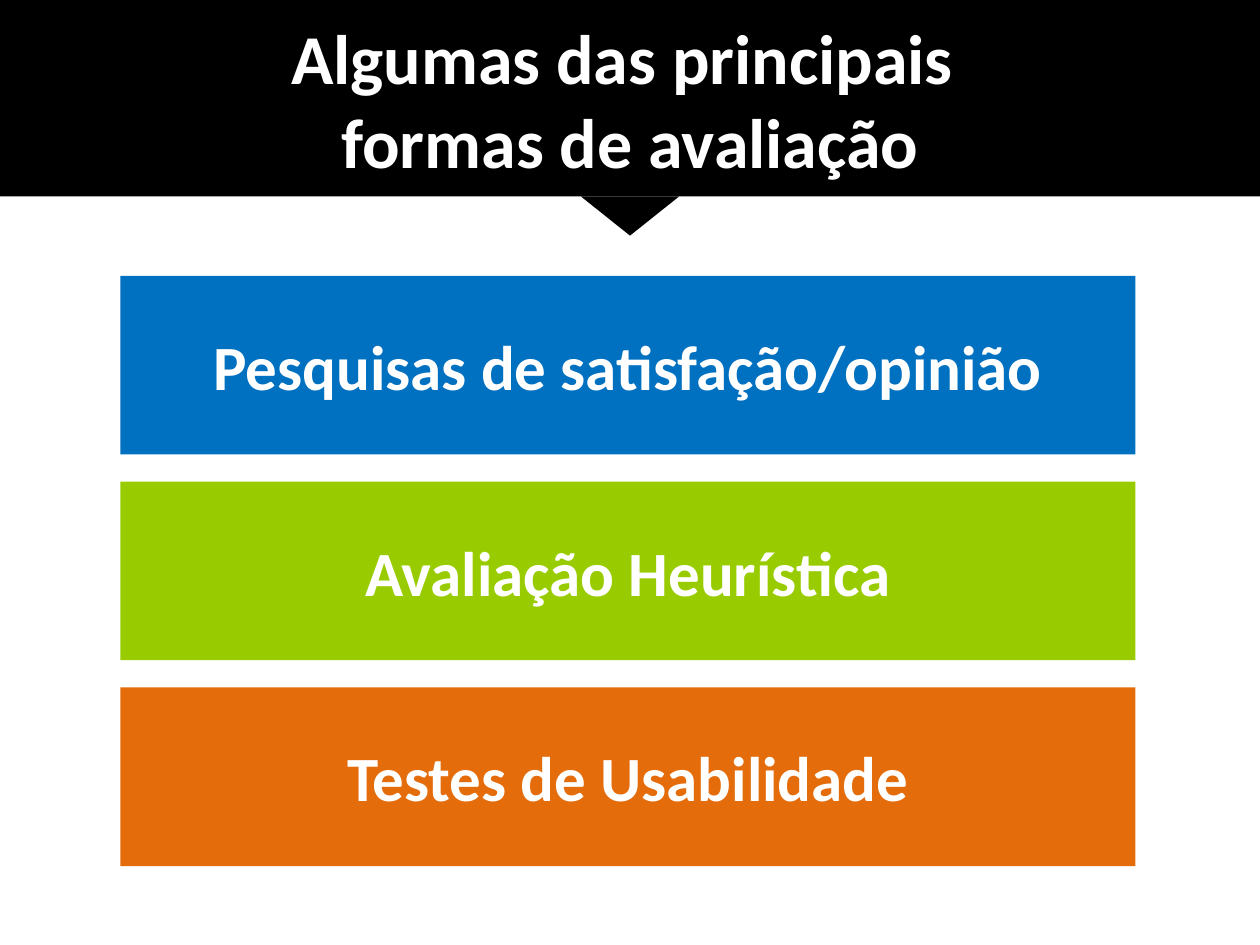
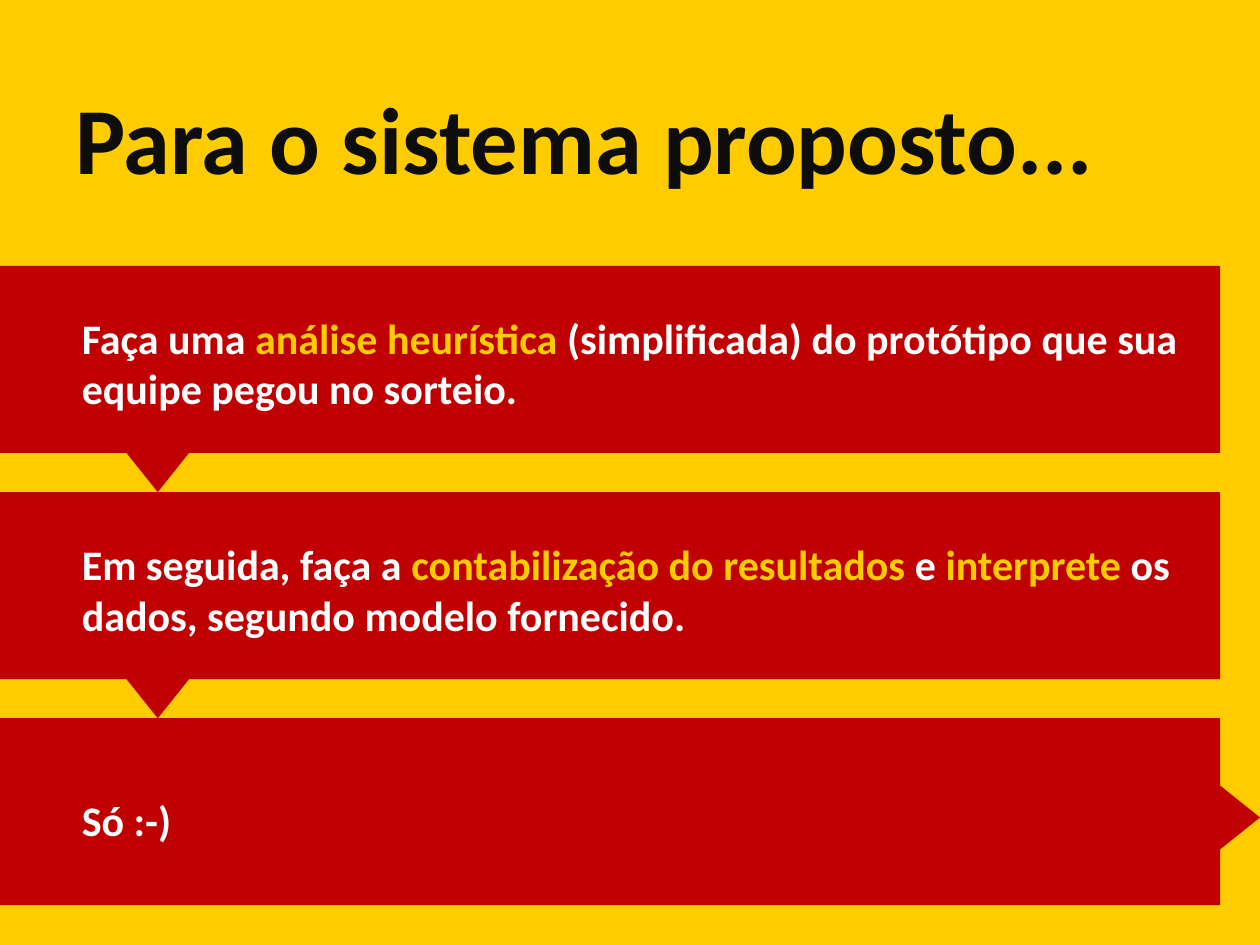
import pptx
import pptx.dml.color
import pptx.enum.shapes
import pptx.enum.text
import pptx.util

Cm = pptx.util.Cm
RGBColor = pptx.dml.color.RGBColor
Preset = pptx.enum.shapes.MSO_SHAPE
Align = pptx.enum.text.PP_ALIGN
Anchor = pptx.enum.text.MSO_ANCHOR

BLACK = RGBColor(0, 0, 0)
INK = RGBColor(0x0D, 0x0D, 0x0D)
WHITE = RGBColor(0xFF, 0xFF, 0xFF)
BLUE = RGBColor(0x00, 0x70, 0xC0)
GREEN = RGBColor(0x99, 0xCC, 0x00)
ORANGE = RGBColor(0xE4, 0x6C, 0x0A)
YELLOW = RGBColor(0xFF, 0xCC, 0x00)
RED = RGBColor(0xC0, 0x00, 0x00)


def write_text(frame, text, size, color=WHITE, highlight=YELLOW,
               align=Align.LEFT, anchor=Anchor.TOP, margin=0.25):
    """Set bold text; parts between asterisks take the highlight colour."""
    frame.word_wrap = True
    frame.vertical_anchor = anchor
    frame.margin_left = frame.margin_right = Cm(margin)
    frame.margin_top = frame.margin_bottom = Cm(0.13)
    paragraph = frame.paragraphs[0]
    paragraph.alignment = align
    for line_number, line in enumerate(text.split("\n")):
        if line_number:
            paragraph.add_line_break()
        for part_number, part in enumerate(line.split("*")):
            run = paragraph.add_run()
            run.text = part
            run.font.name = "Calibri"
            run.font.size = pptx.util.Pt(size)
            run.font.bold = True
            run.font.color.rgb = highlight if part_number % 2 else color


class Deck:
    def __init__(self):
        self.presentation = pptx.Presentation()
        self.presentation.slide_width = Cm(25.4)
        self.presentation.slide_height = Cm(19.05)
        self.slide = None

    def new_slide(self, background):
        self.slide = self.presentation.slides.add_slide(self.presentation.slide_layouts[6])
        fill = self.slide.background.fill
        fill.solid()
        fill.fore_color.rgb = background

    def block(self, left, top, width, height, color, preset=Preset.RECTANGLE):
        block = self.slide.shapes.add_shape(preset, Cm(left), Cm(top), Cm(width), Cm(height))
        block.shadow.inherit = False
        block.fill.solid()
        block.fill.fore_color.rgb = color
        block.line.fill.background()
        return block

    def pointer(self, left, top, width, height, color, rotation=180):
        pointer = self.block(left, top, width, height, color, Preset.ISOSCELES_TRIANGLE)
        pointer.rotation = rotation

    def banner(self, left, top, width, height, color, text, size):
        banner = self.block(left, top, width, height, color)
        write_text(banner.text_frame, text, size, align=Align.CENTER,
                   anchor=Anchor.MIDDLE, margin=1)

    def label(self, left, top, width, height, text, size, **text_format):
        label = self.slide.shapes.add_textbox(Cm(left), Cm(top), Cm(width), Cm(height))
        write_text(label.text_frame, text, size, **text_format)


def evaluation_methods(deck):
    deck.new_slide(WHITE)
    deck.banner(0, 0, 25.4, 3.96, BLACK, "Algumas das principais \nformas de avaliação", 40)
    deck.pointer(11.71, 3.96, 1.98, 0.79, BLACK)
    methods = [
        ("Pesquisas de satisfação/opinião", BLUE),
        ("Avaliação Heurística", GREEN),
        ("Testes de Usabilidade", ORANGE),
    ]
    for row, (method, color) in enumerate(methods):
        deck.banner(2.43, 5.56 + row * 4.15, 20.46, 3.6, color, method, 36)


def proposed_system(deck):
    deck.new_slide(YELLOW)
    deck.label(1.27, 1.75, 22.56, 2, "Para o sistema proposto...", 54,
               color=INK, anchor=Anchor.MIDDLE)
    first_top, pitch = 5.36, 4.56
    pointer_width, pointer_height = 1.6, 1
    steps = [
        ("Faça uma *análise heurística *(simplificada) do protótipo que sua "
         "equipe pegou no sorteio.", 0.81, 2.31),
        ("Em seguida, faça a *contabilização do resultados* e *interprete* os "
         "dados, segundo modelo fornecido.", 0.81, 2.31),
        ("Só :-)", 1.4, 1.27),
    ]
    for row, (step, text_offset, text_height) in enumerate(steps):
        top = first_top + row * pitch
        deck.block(0, top, 24.6, 3.77, RED)
        deck.label(1.4, top + text_offset, 22.81, text_height, step, 24)
        if row < len(steps) - 1:
            deck.pointer(2.38, top + pitch - pointer_height,
                         pointer_width, pointer_height, RED)
        else:
            deck.pointer(24.1, top + 1.5, pointer_width, pointer_height, RED, rotation=90)


def main():
    deck = Deck()
    evaluation_methods(deck)
    proposed_system(deck)
    deck.presentation.save("out.pptx")


if __name__ == "__main__":
    main()
